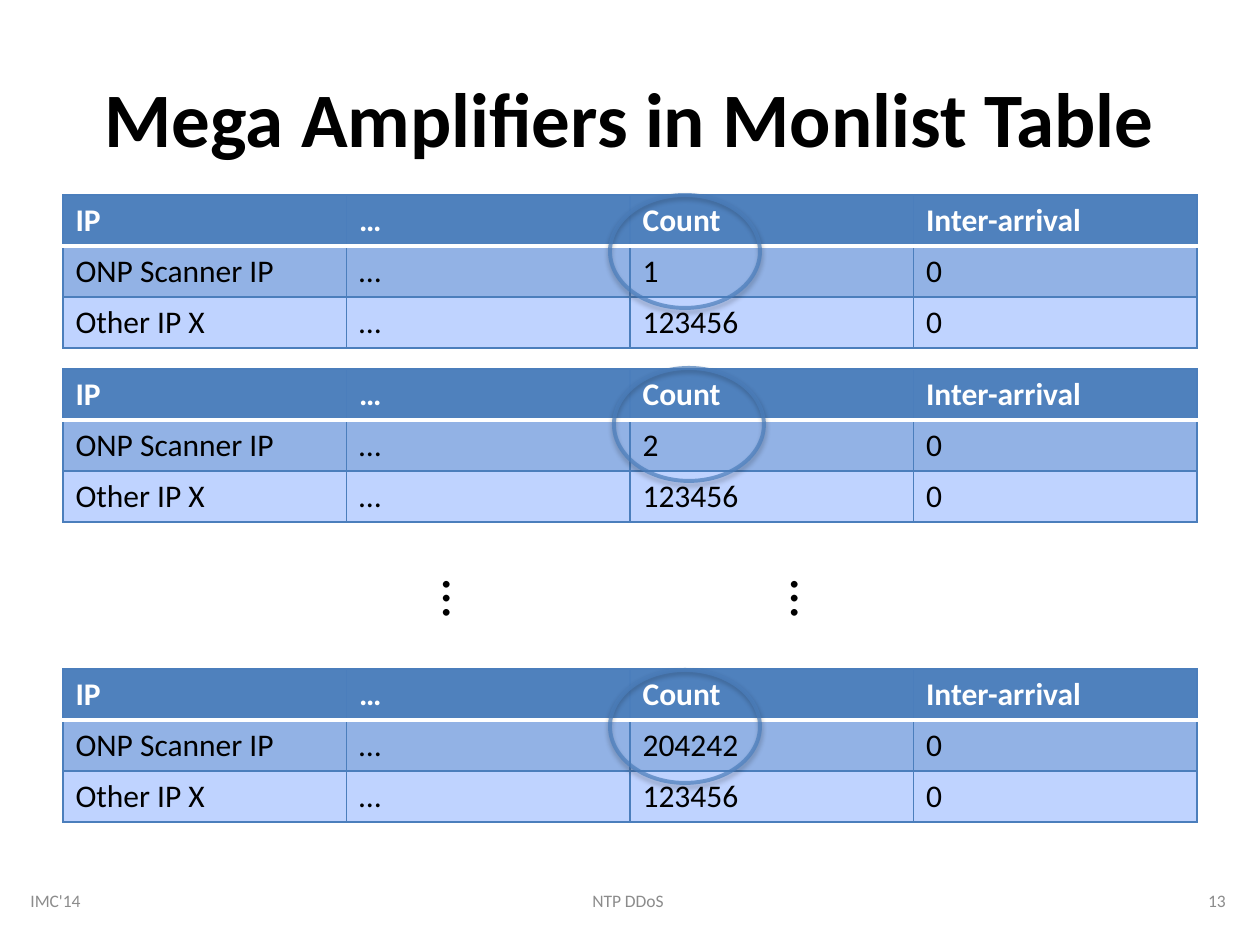
import lxml.etree
import pptx
import pptx.dml.color
import pptx.enum.shapes
import pptx.enum.text
import pptx.oxml
import pptx.oxml.ns
import pptx.util

PX = 914400 / 126
FONT = "Calibri"
COLORS = {
    "header": "4F81BD",
    "band": "92B2E5",
    "row": "BFD3FF",
    "border": "4B7EBC",
    "white": "FFFFFF",
    "black": "000000",
    "footer": "8C8C8C",
}
ALIGN = pptx.enum.text.PP_ALIGN
ANCHOR = pptx.enum.text.MSO_ANCHOR


def emu(pixels):
    return pptx.util.Emu(round(pixels * PX))


def rgb(name):
    return pptx.dml.color.RGBColor.from_string(COLORS[name])


def sub(parent, tag, **attributes):
    element = lxml.etree.SubElement(parent, pptx.oxml.ns.qn(tag))
    for name, value in attributes.items():
        element.set(name, str(value))
    return element


def write(paragraph, text, size, color, bold=False, align=ALIGN.LEFT):
    paragraph.alignment = align
    run = paragraph.add_run()
    run.text = text
    run.font.name = FONT
    run.font.size = pptx.util.Pt(size)
    run.font.bold = bold
    run.font.color.rgb = rgb(color)


def add_text(slide, box, text, size, color, bold=False, align=ALIGN.LEFT):
    shape = slide.shapes.add_textbox(*map(emu, box))
    shape.text_frame.word_wrap = True
    shape.text_frame.vertical_anchor = ANCHOR.MIDDLE
    write(shape.text_frame.paragraphs[0], text, size, color, bold, align)


def set_borders(cell, lines):
    """Draw the cell borders; lines maps a side to (colour, points)."""
    properties = cell._tc.get_or_add_tcPr()
    for position, side in enumerate("LRTB"):
        color, points = lines.get(side, ("border", 0.75))
        line = pptx.oxml.parse_xml(
            f'<a:ln{side} {pptx.oxml.ns.nsdecls("a")} w="{pptx.util.Pt(points)}"/>'
        )
        sub(sub(line, "a:solidFill"), "a:srgbClr", val=COLORS[color])
        properties.insert(position, line)


def add_monlist_table(slide, box, count):
    left, top, width, height = box
    rows = [
        ("IP", "…", "Count", "Inter-arrival"),
        ("ONP Scanner IP", "…", count, "0"),
        ("Other IP X", "…", "123456", "0"),
    ]
    styles = [
        ("header", "white", True, {"B": ("white", 2)}),
        ("band", "black", False, {"T": ("white", 2)}),
        ("row", "black", False, {}),
    ]
    frame = slide.shapes.add_table(len(rows), len(rows[0]), *map(emu, box))
    table = frame.table
    for column in table.columns:
        column.width = emu(width / len(rows[0]))
    for row in table.rows:
        row.height = emu(height / len(rows))
    for row_index, (texts, style) in enumerate(zip(rows, styles)):
        fill, color, bold, lines = style
        for column_index, text in enumerate(texts):
            cell = table.cell(row_index, column_index)
            cell.fill.solid()
            cell.fill.fore_color.rgb = rgb(fill)
            set_borders(cell, lines)
            write(cell.text_frame.paragraphs[0], text, 18, color, bold)


def add_count_ring(slide, box):
    ring = slide.shapes.add_shape(
        pptx.enum.shapes.MSO_SHAPE.OVAL, *map(emu, box)
    )
    ring.fill.background()
    ring.line.color.rgb = rgb("border")
    ring.line.width = pptx.util.Pt(2.25)
    # See-through outline
    line_color = ring.line._ln.find(".//" + pptx.oxml.ns.qn("a:srgbClr"))
    sub(line_color, "a:alpha", val=70000)
    # Soft shadow straight below
    ring.shadow.inherit = False
    effects = ring._element.spPr.find(pptx.oxml.ns.qn("a:effectLst"))
    shadow = sub(
        effects, "a:outerShdw", blurRad=pptx.util.Pt(3.1),
        dist=pptx.util.Pt(1.8), dir=5400000, rotWithShape=0,
    )
    shadow_color = sub(shadow, "a:srgbClr", val=COLORS["black"])
    sub(shadow_color, "a:alpha", val=35000)


def add_vertical_dots(slide, box):
    shape = slide.shapes.add_textbox(*map(emu, box))
    shape.rotation = 90
    shape.text_frame.word_wrap = False
    shape.text_frame.auto_size = pptx.enum.text.MSO_AUTO_SIZE.SHAPE_TO_FIT_TEXT
    write(shape.text_frame.paragraphs[0], "…", 32, "black")


def add_footer(slide, box):
    left, top, width, height = box
    side, middle = 294, 515
    parts = [
        ("IMC'14", left, side, ALIGN.LEFT),
        ("NTP DDoS", left + (width - middle) / 2, middle, ALIGN.CENTER),
        ("13", left + width - side, side, ALIGN.RIGHT),
    ]
    for text, part_left, part_width, align in parts:
        part_box = (part_left, top, part_width, height)
        add_text(slide, part_box, text, 10, "footer", align=align)


def main():
    presentation = pptx.Presentation()
    presentation.slide_width = emu(1260)
    presentation.slide_height = emu(945)
    slide = presentation.slides.add_slide(presentation.slide_layouts[6])

    # Title
    add_text(slide, (63, 38, 1134, 157), "Mega Amplifiers in Monlist Table",
             44, "black", True, ALIGN.CENTER)

    # Successive tables: top, scanner count, ring left and top
    tables = [
        (195, "1", 610, 195),
        (369, "2", 614, 368),
        (669, "204242", 610, 670),
    ]
    for top, count, ring_left, ring_top in tables:
        add_monlist_table(slide, (63, top, 1134, 153), count)
        add_count_ring(slide, (ring_left, ring_top, 150, 113))

    # Dots for the tables left out
    for left in (433, 781):
        add_vertical_dots(slide, (left, 559, 64, 81))

    # Footer
    add_footer(slide, (18, 876, 1220, 50))

    presentation.save("out.pptx")


if __name__ == "__main__":
    main()
